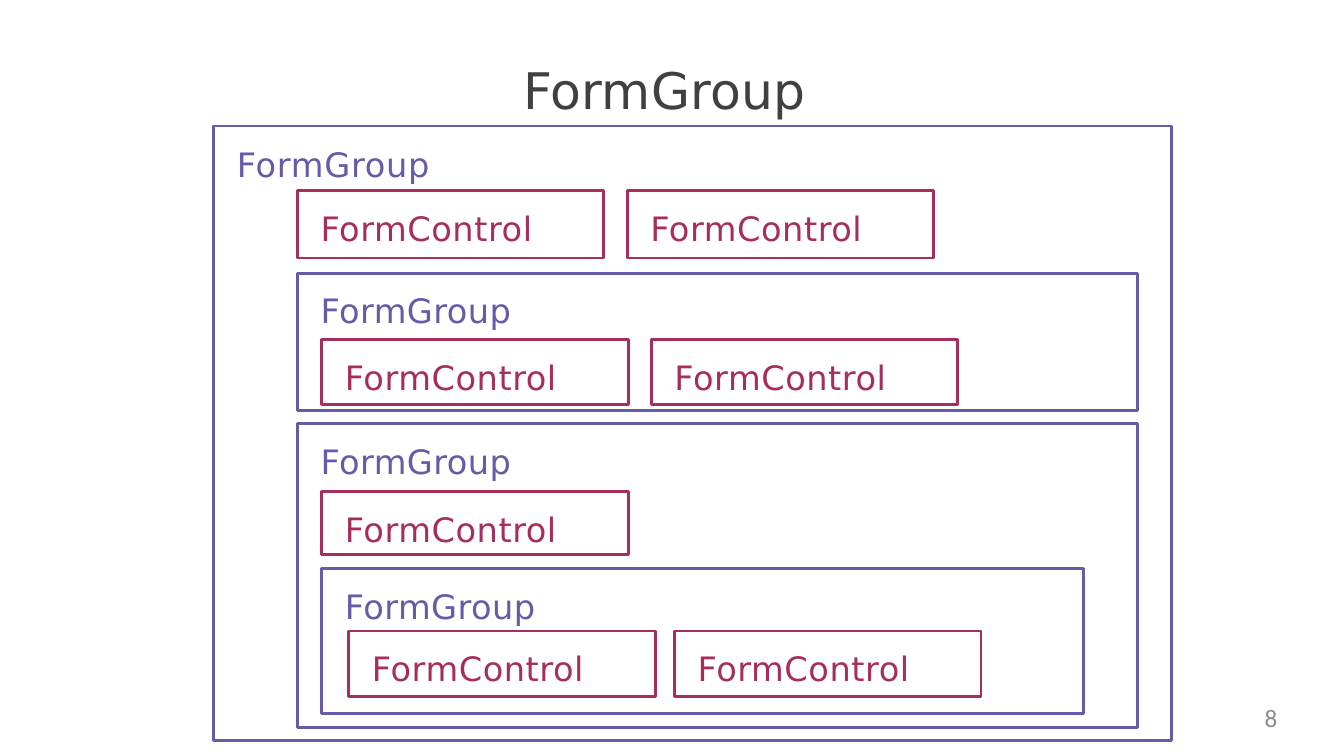
from dataclasses import dataclass

from pptx import Presentation
from pptx.dml.color import RGBColor
from pptx.enum.shapes import MSO_SHAPE as Preset
from pptx.enum.text import MSO_ANCHOR as Anchor, MSO_AUTO_SIZE as AutoSize, PP_ALIGN as Align
from pptx.util import Pt

EMU_PER_PX = 9144
CONTROL_WIDTH = 304


@dataclass(frozen=True)
class Theme:
    heading: str = "404040"
    group: str = "675BA7"
    control: str = "A62D5C"
    number: str = "8C8C8C"
    face: str = "DejaVu Sans"
    number_face: str = "Calibri"
    title_size: int = 36
    label_size: int = 24
    number_size: int = 18
    line_width: float = 2.04


THEME = Theme()


def px(length):
    return round(length * EMU_PER_PX)


def place(box, left, top, width, height):
    box.left, box.top, box.width, box.height = map(px, (left, top, width, height))


def write(box, text, *, color, size=THEME.label_size, face=THEME.face,
          align=Align.LEFT, indent=0, inset=0, spacing=0):
    frame = box.text_frame
    frame.word_wrap = True
    frame.auto_size = AutoSize.NONE
    frame.vertical_anchor = Anchor.TOP
    frame.margin_left, frame.margin_top = px(indent), px(inset)
    frame.margin_right = frame.margin_bottom = 0
    para = frame.paragraphs[0]
    para.alignment = align
    span = para.add_run()
    span.text = text
    span.font.name = face
    span.font.size = Pt(size)
    span.font.color.rgb = RGBColor.from_string(color)
    span._r.get_or_add_rPr().set("spc", str(round(spacing * 100)))


def add_title(page, text, *bounds):
    title = page.shapes.title
    place(title, *bounds)
    write(title, text, color=THEME.heading, size=THEME.title_size,
          indent=1, inset=2, spacing=0.2)


def add_text(page, text, *bounds, **style):
    box = page.shapes.add_textbox(*map(px, bounds))
    write(box, text, **style)


def add_frame(page, color, *bounds):
    box = page.shapes.add_shape(Preset.RECTANGLE, *map(px, bounds))
    box.shadow.inherit = False
    box.fill.background()
    box.line.color.rgb = RGBColor.from_string(color)
    box.line.width = Pt(THEME.line_width)
    return box


def add_group(page, *bounds):
    box = add_frame(page, THEME.group, *bounds)
    write(box, "FormGroup", color=THEME.group, indent=23, inset=17, spacing=0.3)


def add_controls(page, left, top, height, count=2, gap=23):
    for index in range(count):
        box = add_frame(page, THEME.control, left + index * (CONTROL_WIDTH + gap),
                        top, CONTROL_WIDTH, height)
        write(box, "FormControl", color=THEME.control, indent=23, inset=17, spacing=0.4)


def main():
    deck = Presentation()
    deck.slide_width, deck.slide_height = px(1333), px(750)
    page = deck.slides.add_slide(deck.slide_layouts[5])

    add_title(page, "FormGroup", 518, 57, 288, 63)
    add_frame(page, THEME.group, 212, 125, 950, 610)
    add_text(page, "FormGroup", 234, 141, 196, 43,
             color=THEME.group, indent=1, inset=2, spacing=0.5)
    add_controls(page, 295, 189, 67)

    add_group(page, 295, 271, 833, 136)
    add_controls(page, 319, 337, 64)

    add_group(page, 295, 420, 833, 302)
    add_controls(page, 319, 488, 62, count=1)
    add_group(page, 319, 564, 756, 144)
    add_controls(page, 346, 626, 65, gap=19)

    add_text(page, "8", 960, 697, 307, 38, color=THEME.number,
             size=THEME.number_size, face=THEME.number_face, align=Align.RIGHT)
    deck.save("out.pptx")


if __name__ == "__main__":
    main()
